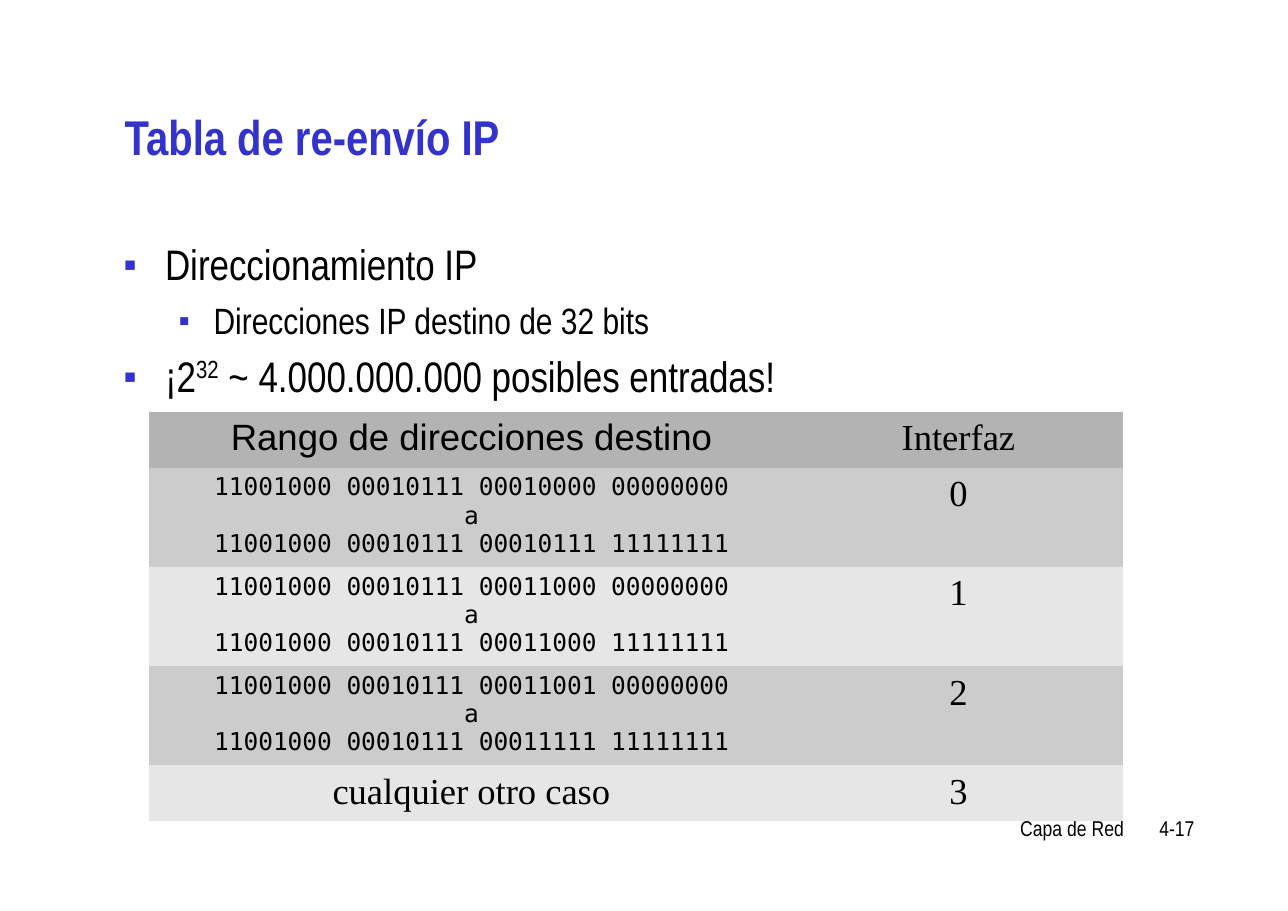
from lxml.etree import SubElement
from pptx import Presentation
from pptx.dml.color import RGBColor
from pptx.enum.text import MSO_ANCHOR as Anchor, MSO_AUTO_SIZE as AutoSize, PP_ALIGN as Align
from pptx.oxml.ns import qn
from pptx.util import Pt

NARROW, SERIF, MONO = "Arial Narrow", "Times New Roman", "DejaVu Sans Mono"
BLUE, BLACK = "3333CC", "000000"
NO_GRID = "{2D5ABB26-0587-4C30-8999-92F81FD0307C}"


def color(code):
    return RGBColor.from_string(code)


class SlideBuilder:
    """Holds the text style and the current page, and adds elements to it."""

    base = {"name": NARROW, "size": Pt(14), "bold": False}

    def __init__(self, deck):
        self.page = deck.slides.add_slide(deck.slide_layouts[5])

    def add_span(self, para, text, ink=BLACK, raised=False, **style):
        span = para.add_run()
        span.text = text
        self.assign(span.font, **{**self.base, **style})
        span.font.color.rgb = color(ink)
        if raised:
            span.font._element.set("baseline", "33000")

    def assign(self, target, **values):
        for name, value in values.items():
            setattr(target, name, value)

    def place(self, shape, left, top, width, height):
        self.assign(shape, left=Pt(left), top=Pt(top), width=Pt(width), height=Pt(height))
        self.assign(shape.text_frame, word_wrap=True, auto_size=AutoSize.NONE)
        return shape.text_frame

    def title(self, text, *bounds):
        box = self.place(self.page.shapes.title, *bounds)
        box.vertical_anchor = Anchor.MIDDLE
        para = box.paragraphs[0]
        self.assign(para, alignment=Align.LEFT, line_spacing=0.9)
        self.add_span(para, text, BLUE, size=Pt(31.9), bold=True)

    def textbox(self, *bounds):
        return self.place(self.page.shapes.add_textbox(0, 0, 0, 0), *bounds)

    def footer(self, text, *bounds):
        para = self.textbox(*bounds).paragraphs[0]
        self.assign(para, alignment=Align.RIGHT, line_spacing=0.9)
        self.add_span(para, text)

    def bullet(self, para, margin, indent):
        props = para._p.get_or_add_pPr()
        props.set("marL", str(Pt(margin)))
        props.set("indent", str(Pt(-indent)))
        SubElement(SubElement(props, qn("a:buClr")), qn("a:srgbClr"), val=BLUE)
        SubElement(props, qn("a:buSzPct"), val="45000")
        SubElement(props, qn("a:buFont"), typeface="Arial")
        SubElement(props, qn("a:buChar"), char="■")

    def bullets(self, items, *bounds):
        levels = [(27.9, 6.9, 26.6, 26.6), (23.9, 6, 58.3, 22.3)]
        box = self.textbox(*bounds)
        for index, (level, parts) in enumerate(items):
            size, before, margin, indent = levels[level]
            para = box.add_paragraph() if index else box.paragraphs[0]
            self.assign(para, level=level, line_spacing=0.97,
                        space_before=Pt(before if index else 0))
            self.bullet(para, margin, indent)
            for text, raised in parts:
                self.add_span(para, text, raised=raised, size=Pt(size))

    def cell(self, cell, lines, fill, spacing, **style):
        cell.fill.solid()
        cell.fill.fore_color.rgb = color(fill)
        box = cell.text_frame
        for index, line in enumerate(lines):
            para = box.add_paragraph() if index else box.paragraphs[0]
            self.assign(para, alignment=Align.CENTER, line_spacing=spacing)
            self.add_span(para, line, **style)

    def table(self, rows, fills, widths, heights, left, top):
        table = self.page.shapes.add_table(
            len(rows), len(widths), Pt(left), Pt(top), Pt(sum(widths)), Pt(sum(heights))).table
        self.assign(table, first_row=False, horz_banding=False)
        table._tbl.tblPr.find(qn("a:tableStyleId")).text = NO_GRID
        for column, width in zip(table.columns, widths):
            column.width = Pt(width)
        for row, height, fill, values in zip(table.rows, heights, fills, rows):
            row.height = Pt(height)
            for cell, (lines, font, size, spacing) in zip(row.cells, values):
                self.cell(cell, lines, fill, spacing, name=font, size=Pt(size))


def main():
    deck = Presentation()
    deck.slide_width, deck.slide_height = Pt(841.68), Pt(595.44)
    slide = SlideBuilder(deck)
    slide.footer("Capa de Red", 493.2, 531.4, 248.4, 22.3)
    slide.footer("4-17", 729.4, 531.4, 58.3, 22.3)
    slide.title("Tabla de re-envío IP", 74.2, 39.6, 667.4, 103)
    slide.bullets([
        (0, [("Direccionamiento IP", False)]),
        (1, [("Direcciones IP destino de 32 bits", False)]),
        (0, [("¡2", False), ("32", True), (" ~ 4.000.000.000 posibles entradas!", False)]),
    ], 74.2, 154.1, 667.4, 149)

    def serif(text):
        return [text], SERIF, 23.9, 1.02

    ranges = [("00010000", "00010111"), ("00011000", "00011000"), ("00011001", "00011111")]
    rows = [[(["Rango de direcciones destino"], "Arial", 23.9, 1.0), serif("Interfaz")]]
    for port, (first, last) in enumerate(ranges):
        lines = [f"11001000 00010111 {first} 00000000", "a",
                 f"11001000 00010111 {last} 11111111"]
        rows.append([(lines, MONO, 16, 1.0), serif(str(port))])
    rows.append([serif("cualquier otro caso"), serif("3")])
    slide.table(rows, ["B3B3B3"] + ["CCCCCC", "E6E6E6"] * 2, [421.9, 214.6],
                [36.4] + [64.9] * 3 + [36.4], 97.2, 269.3)
    deck.save("out.pptx")


if __name__ == "__main__":
    main()
